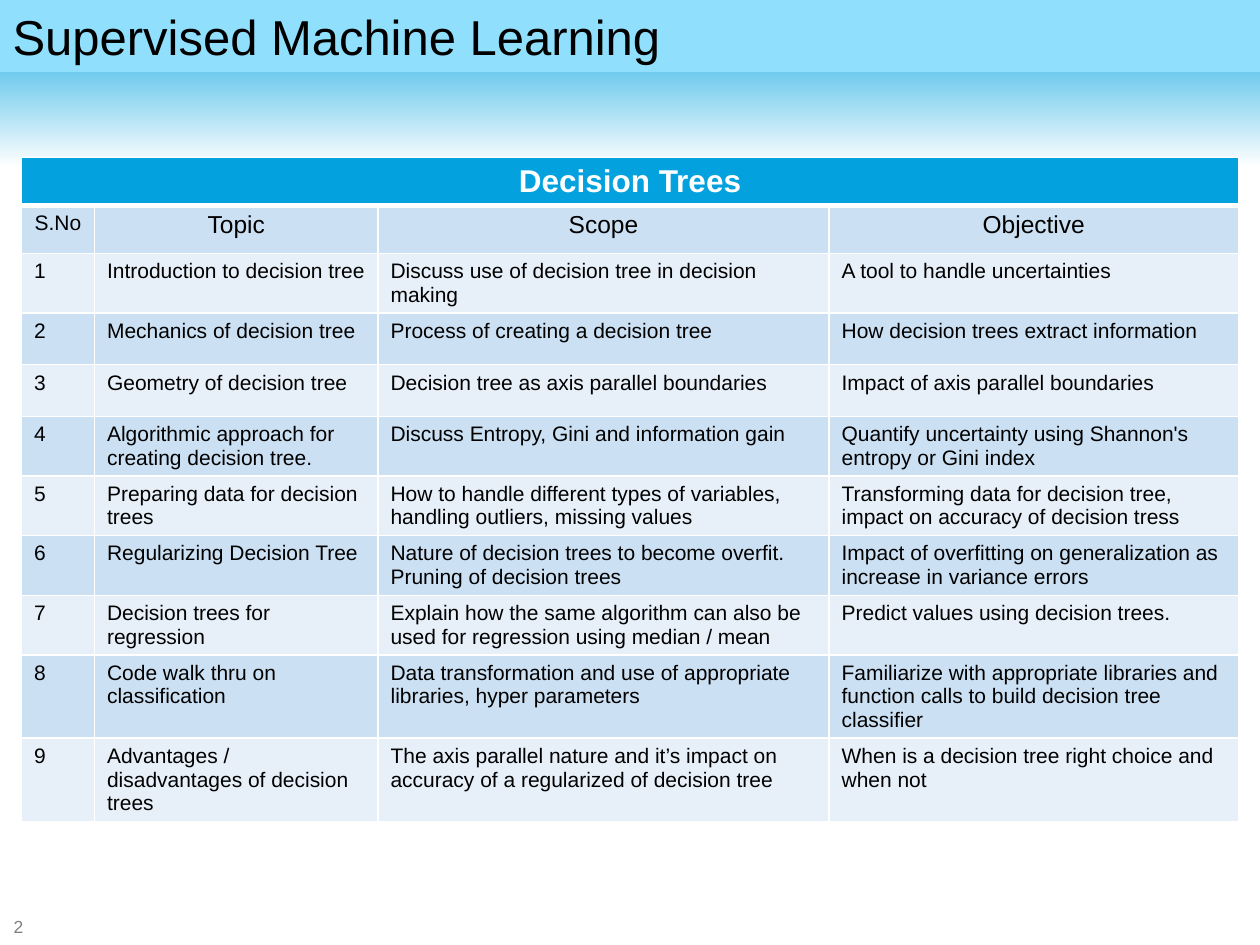
from dataclasses import dataclass

from lxml.etree import SubElement
from pptx import Presentation
from pptx.dml.color import RGBColor
from pptx.enum.shapes import MSO_SHAPE
from pptx.enum.text import MSO_ANCHOR as Anchor, MSO_AUTO_SIZE as AutoSize, PP_ALIGN as Align
from pptx.oxml.ns import qn
from pptx.util import Inches, Pt

BLACK = RGBColor(0x00, 0x00, 0x00)
WHITE = RGBColor(0xFF, 0xFF, 0xFF)
GREY = RGBColor(0x80, 0x80, 0x80)
BLUE = RGBColor(0x03, 0xA2, 0xDF)
SKY = RGBColor(0x8F, 0xDF, 0xFD)
BAND_DARK = RGBColor(0xCC, 0xE0, 0xF3)
BAND_LIGHT = RGBColor(0xE7, 0xF0, 0xF9)

COLUMN_WIDTHS = (0.58, 2.25, 3.58, 3.25)
HEADING_HEIGHT, LABEL_HEIGHT, TOPIC_HEIGHT = 0.28, 0.38, 0.41
LABELS = ("S.No", "Topic", "Scope", "Objective")


@dataclass(frozen=True)
class Topic:
    name: str
    scope: str
    objective: str


TOPICS = (
    Topic("Introduction to decision tree",
          "Discuss use of decision tree in decision making",
          "A tool to handle uncertainties"),
    Topic("Mechanics of decision tree",
          "Process of creating a decision tree",
          "How decision trees extract information"),
    Topic("Geometry of decision tree",
          "Decision tree as axis parallel boundaries",
          "Impact of axis parallel boundaries"),
    Topic("Algorithmic approach for creating decision tree.",
          "Discuss Entropy, Gini and information gain",
          "Quantify uncertainty using Shannon's entropy or Gini index"),
    Topic("Preparing data for decision trees",
          "How to handle different types of variables, handling outliers, missing values",
          "Transforming data for decision tree, impact on accuracy of decision tress"),
    Topic("Regularizing Decision Tree",
          "Nature of decision trees to become overfit. Pruning of decision trees",
          "Impact of overfitting on generalization as increase in variance errors"),
    Topic("Decision trees for regression",
          "Explain how the same algorithm can also be used for regression using median / mean",
          "Predict values using decision trees."),
    Topic("Code walk thru on classification",
          "Data transformation and use of appropriate libraries, hyper parameters",
          "Familiarize with appropriate libraries and function calls to build decision tree classifier"),
    Topic("Advantages / disadvantages of decision trees",
          "The axis parallel nature and it’s impact on accuracy of a regularized of decision tree",
          "When is a decision tree right choice and when not"),
)


def write(text_frame, text: str, size: float, color: RGBColor = BLACK,
          align: Align = Align.LEFT, bold: bool = False) -> None:
    paragraph = text_frame.paragraphs[0]
    paragraph.alignment = align
    run = paragraph.add_run()
    run.text = text
    for name, value in {"name": "Arial", "size": Pt(size), "bold": bold}.items():
        setattr(run.font, name, value)
    run.font.color.rgb = color


def set_borders(cell, top: float = 1, bottom: float = 1) -> None:
    """Draw white cell borders, with widths in points."""
    properties = cell._tc.get_or_add_tcPr()
    for tag, width in {"lnL": 1, "lnR": 1, "lnT": top, "lnB": bottom}.items():
        line = SubElement(properties, qn(f"a:{tag}"), w=str(Pt(width)))
        fill = SubElement(line, qn("a:solidFill"))
        SubElement(fill, qn("a:srgbClr"), val=str(WHITE))


def add_backdrop(slide) -> None:
    backdrop = slide.shapes.add_shape(MSO_SHAPE.RECTANGLE, 0, 0, Inches(10), Inches(1.33))
    backdrop.shadow.inherit = False
    backdrop.line.fill.background()
    backdrop.fill.gradient()
    backdrop.fill.gradient_angle = 270
    for stop, color in zip(backdrop.fill.gradient_stops, (BLUE, WHITE)):
        stop.color.rgb = color


def format_title(slide, text: str) -> None:
    """Fill the title and bring it in front of the backdrop."""
    title = slide.shapes.title
    title.left, title.top, title.width, title.height = 0, 0, Inches(10), Inches(0.57)
    title.fill.solid()
    title.fill.fore_color.rgb = SKY
    title.text_frame.auto_size = AutoSize.NONE
    title.text_frame.vertical_anchor = Anchor.TOP
    write(title.text_frame, text, 28)
    slide.shapes._spTree.append(title._element)


def add_page_number(slide, number: str) -> None:
    box = slide.shapes.add_textbox(Inches(0.01), Inches(7.27), Inches(0.39), Inches(0.16))
    box.text_frame.word_wrap = True
    box.text_frame.vertical_anchor = Anchor.MIDDLE
    write(box.text_frame, number, 10, GREY)


def add_topic_table(slide, heading: str) -> None:
    heights = (HEADING_HEIGHT, LABEL_HEIGHT) + (TOPIC_HEIGHT,) * len(TOPICS)
    table = slide.shapes.add_table(
        len(heights), len(COLUMN_WIDTHS), Inches(0.17), Inches(1.25),
        Inches(sum(COLUMN_WIDTHS)), Inches(sum(heights))).table
    for column, width in zip(table.columns, COLUMN_WIDTHS):
        column.width = Inches(width)
    for row, height in zip(table.rows, heights):
        row.height = Inches(height)

    for cell in table.rows[0].cells:
        set_borders(cell, bottom=3)
        cell.fill.solid()
        cell.fill.fore_color.rgb = BLUE
    table.cell(0, 0).merge(table.cell(0, len(COLUMN_WIDTHS) - 1))
    write(table.cell(0, 0).text_frame, heading, 18, WHITE, Align.CENTER, bold=True)

    rows = [LABELS] + [(str(number), topic.name, topic.scope, topic.objective)
                       for number, topic in enumerate(TOPICS, 1)]
    for row_index, texts in enumerate(rows, 1):
        is_label = row_index == 1
        for column_index, text in enumerate(texts):
            cell = table.cell(row_index, column_index)
            set_borders(cell, top=3 if is_label else 1)
            cell.fill.solid()
            cell.fill.fore_color.rgb = BAND_DARK if row_index % 2 else BAND_LIGHT
            write(cell.text_frame, text, 14 if is_label and column_index else 12,
                  align=Align.CENTER if is_label else Align.LEFT)


def main() -> None:
    presentation = Presentation()
    presentation.slide_width, presentation.slide_height = Inches(10), Inches(7.5)
    slide = presentation.slides.add_slide(presentation.slide_layouts[5])
    add_backdrop(slide)
    add_page_number(slide, "2")
    format_title(slide, "Supervised Machine Learning")
    add_topic_table(slide, "Decision Trees")
    presentation.save("out.pptx")


if __name__ == "__main__":
    main()
